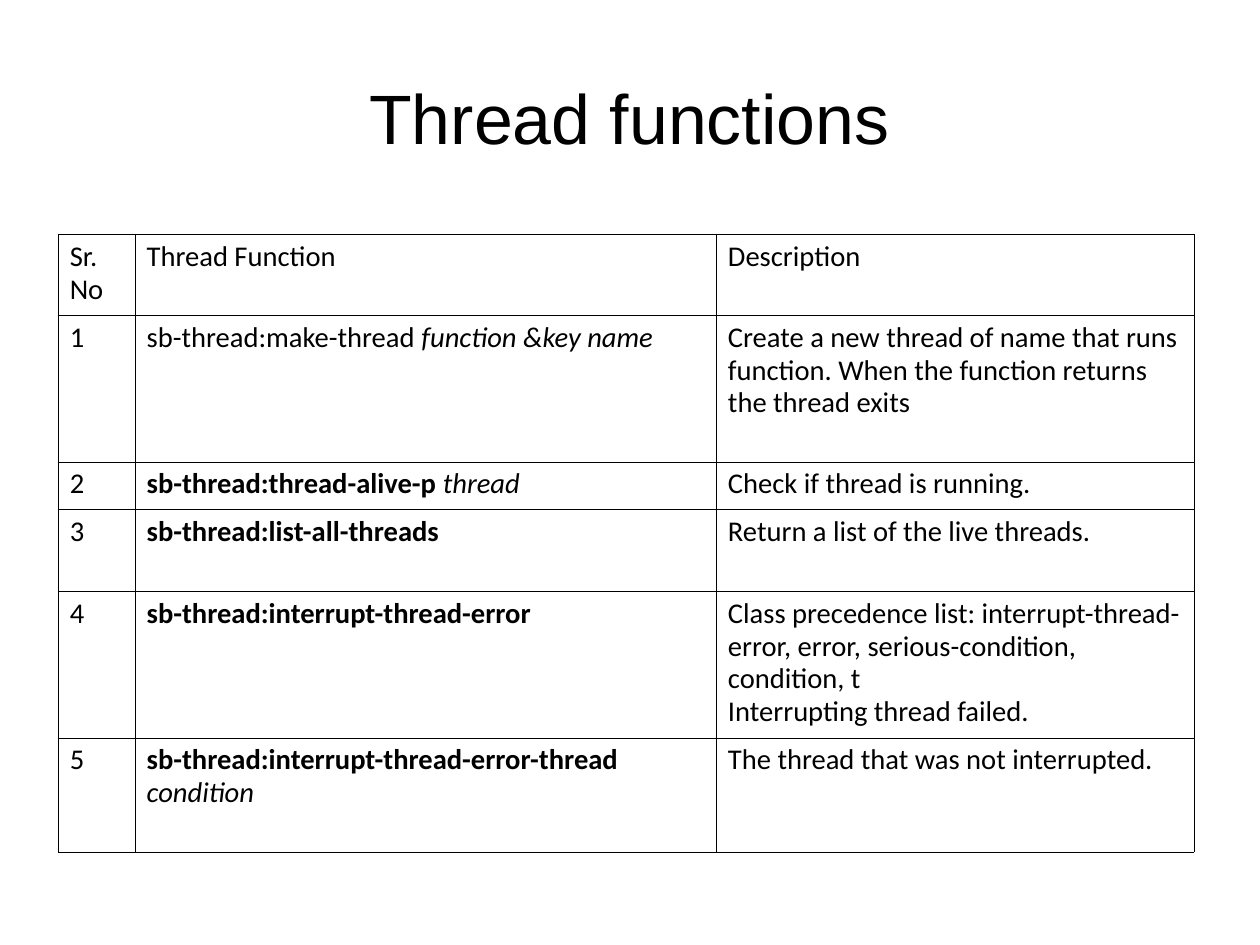
"""Build a slide with a titled table of thread functions."""
import pptx
import pptx.dml.color
import pptx.enum.text
import pptx.oxml
import pptx.oxml.ns
import pptx.util

TITLE = "Thread functions"
ROWS = [
    ("Sr. No", [("Thread Function", "")], ["Description"]),
    ("1", [("sb-thread:make-thread ", ""), ("function &key name", "i")],
     ["Create a new thread of name that runs function. "
      "When the function returns the thread exits"]),
    ("2", [("sb-thread:thread-alive-p", "b"), (" thread", "i")],
     ["Check if thread is running."]),
    ("3", [("sb-thread:list-all-threads", "b")],
     ["Return a list of the live threads."]),
    ("4", [("sb-thread:interrupt-thread-error", "b")],
     ["Class precedence list: interrupt-thread-error, error, "
      "serious-condition, condition, t",
      "Interrupting thread failed."]),
    ("5", [("sb-thread:interrupt-thread-error-thread", "b"), (" condition", "i")],
     ["The thread that was not interrupted."]),
]
WIDTHS = (48.4, 366.2, 301)
HEIGHTS = (51, 92.2, 30.2, 51.6, 92.2, 72.2)
BLACK = pptx.dml.color.RGBColor(0, 0, 0)
EDGE = 0.06
Pt = pptx.util.Pt


def write(para, text, font="Calibri", size=18, style=""):
    """Add one formatted run to a paragraph."""
    run = para.add_run()
    run.text = text
    run.font.name = font
    run.font.size = Pt(size)
    run.font.color.rgb = BLACK
    run.font.bold = style == "b"
    run.font.italic = style == "i"


def frame(cell):
    """Clear the fill of a cell and line its four sides."""
    cell.fill.background()
    props = cell._tc.get_or_add_tcPr()
    for i, side in enumerate("LRTB"):
        line = pptx.oxml.parse_xml(
            f'<a:ln{side} {pptx.oxml.ns.nsdecls("a")} w="{Pt(EDGE)}">'
            f'<a:solidFill><a:srgbClr val="{BLACK}"/></a:solidFill></a:ln{side}>')
        props.insert(i, line)


def fill(cell, paras):
    """Write paragraphs of (text, style) runs into a cell."""
    cell.margin_left = cell.margin_right = Pt(7.2)
    cell.margin_top = cell.margin_bottom = Pt(3.6)
    for i, runs in enumerate(paras):
        para = cell.text_frame.add_paragraph() if i else cell.text_frame.paragraphs[0]
        para.line_spacing = 0.94
        for text, style in runs:
            write(para, text, style=style)
    frame(cell)


def main():
    """Lay out the title and the table, then save."""
    deck = pptx.Presentation()
    deck.slide_width, deck.slide_height = Pt(793.7), Pt(595.3)
    slide = deck.slides.add_slide(deck.slide_layouts[6])

    head = slide.shapes.add_textbox(Pt(39.6), Pt(23.8), Pt(714.2), Pt(99.4)).text_frame
    head.word_wrap = True
    head.margin_left = head.margin_right = head.margin_top = head.margin_bottom = 0
    head.vertical_anchor = pptx.enum.text.MSO_ANCHOR.MIDDLE
    head.paragraphs[0].alignment = pptx.enum.text.PP_ALIGN.CENTER
    write(head.paragraphs[0], TITLE, font="Arial", size=44)

    grid = slide.shapes.add_table(len(ROWS), len(WIDTHS), Pt(36.8), Pt(147.6),
                                  Pt(sum(WIDTHS)), Pt(sum(HEIGHTS))).table
    grid.first_row = grid.horz_banding = False
    for col, width in zip(grid.columns, WIDTHS):
        col.width = Pt(width)
    for r, (row, high) in enumerate(zip(ROWS, HEIGHTS)):
        grid.rows[r].height = Pt(high)
        num, call, notes = row
        fill(grid.cell(r, 0), [[(num, "")]])
        fill(grid.cell(r, 1), [call])
        fill(grid.cell(r, 2), [[(note, "")] for note in notes])

    deck.save("out.pptx")


if __name__ == "__main__":
    main()
